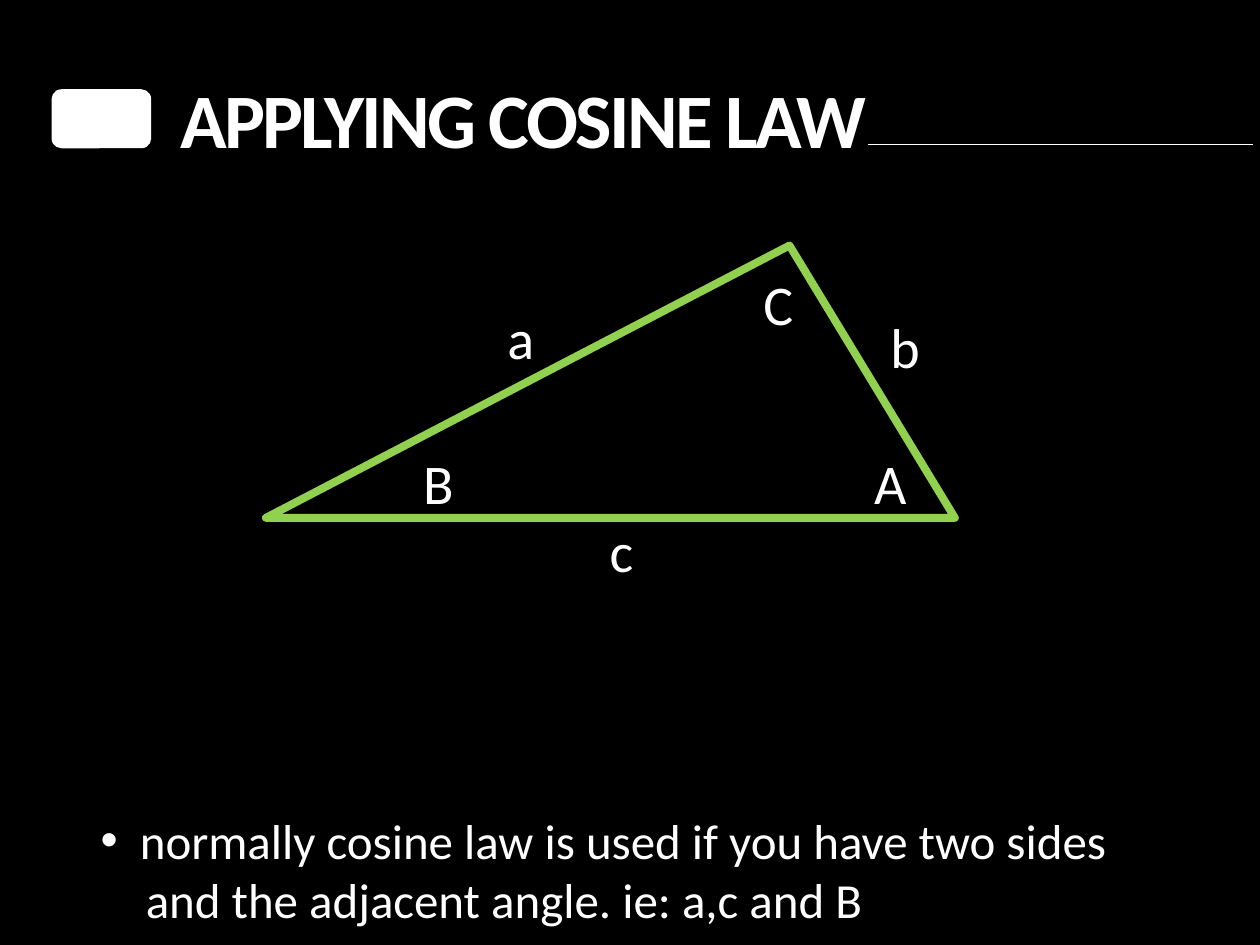
from pptx import Presentation
from pptx.dml.color import RGBColor
from pptx.enum.shapes import MSO_CONNECTOR, MSO_SHAPE
from pptx.oxml.ns import qn
from pptx.util import Cm, Pt
from lxml.etree import SubElement

BLACK = RGBColor(0, 0, 0)
WHITE = RGBColor(255, 255, 255)
GREEN = RGBColor(0x92, 0xD0, 0x50)
FONT = "Calibri"

LABELS = [
    ("a", 9.98, 5.99),
    ("A", 17.37, 8.92),
    ("b", 17.7, 6.17),
    ("B", 8.28, 8.92),
    ("c", 12.04, 10.29),
    ("C", 15.14, 5.31),
]
# Each line: text, left margin and first-line indent in cm
NOTES = [
    ("normally cosine law is used if you have two sides", 0.79, -0.79),
    ("and the adjacent angle. ie: a,c and B", 0.91, 0),
]


def add_box(slide, left, top, width, height):
    box = slide.shapes.add_textbox(Cm(left), Cm(top), Cm(width), Cm(height))
    box.text_frame.word_wrap = True
    return box.text_frame


def add_run(para, text, size, bold=False):
    run = para.add_run()
    run.text = text
    font = run.font
    font.name, font.size, font.bold = FONT, Pt(size), bold
    font.color.rgb = WHITE
    return run


def add_title(slide):
    frame = add_box(slide, 3.38, 1.32, 21.87, 2.13)
    run = add_run(frame.paragraphs[0], "APPLYING COSINE LAW", 44, True)
    run.font._element.set("spc", "-150")


def add_rule(slide):
    rule = slide.shapes.add_connector(
        MSO_CONNECTOR.STRAIGHT, Cm(17.5), Cm(2.92), Cm(25.25), Cm(2.92))
    rule.line.color.rgb = WHITE
    rule.line.width = Pt(0.75)
    SubElement(rule._element.spPr, qn("a:effectLst"))


def add_badge(slide):
    badge = slide.shapes.add_shape(
        MSO_SHAPE.ROUNDED_RECTANGLE, Cm(1.04), Cm(1.8), Cm(2.01), Cm(1.19))
    badge.shadow.inherit = False
    badge.fill.solid()
    badge.fill.fore_color.rgb = WHITE
    badge.line.fill.background()


def add_triangle(slide):
    shape = slide.shapes.add_shape(
        MSO_SHAPE.ISOSCELES_TRIANGLE, Cm(5.36), Cm(4.95), Cm(13.89), Cm(5.49))
    shape.adjustments[0] = 0.76
    shape.shadow.inherit = False
    shape.fill.background()
    shape.line.color.rgb = GREEN
    shape.line.width = Pt(4.5)
    SubElement(shape.line._get_or_add_ln(), qn("a:round"))


def add_label(slide, text, left, top):
    frame = add_box(slide, left, top, 1.04, 1.63)
    add_run(frame.paragraphs[0], text, 32)


def add_notes(slide):
    frame = add_box(slide, 1.78, 16.21, 22.02, 2.64)
    for i, (text, margin, indent) in enumerate(NOTES):
        para = frame.add_paragraph() if i else frame.paragraphs[0]
        props = para._p.get_or_add_pPr()
        props.set("marL", str(Cm(margin)))
        props.set("indent", str(Cm(indent)))
        if indent:
            SubElement(props, qn("a:buFont"), typeface="Arial")
            SubElement(props, qn("a:buChar"), char="•")
        add_run(para, text, 28)


def main():
    deck = Presentation()
    deck.slide_width, deck.slide_height = Cm(25.4), Cm(19.05)
    slide = deck.slides.add_slide(deck.slide_layouts[6])
    slide.background.fill.solid()
    slide.background.fill.fore_color.rgb = BLACK
    add_title(slide)
    add_rule(slide)
    add_badge(slide)
    add_triangle(slide)
    for label in LABELS:
        add_label(slide, *label)
    add_notes(slide)
    deck.save("out.pptx")


if __name__ == "__main__":
    main()
